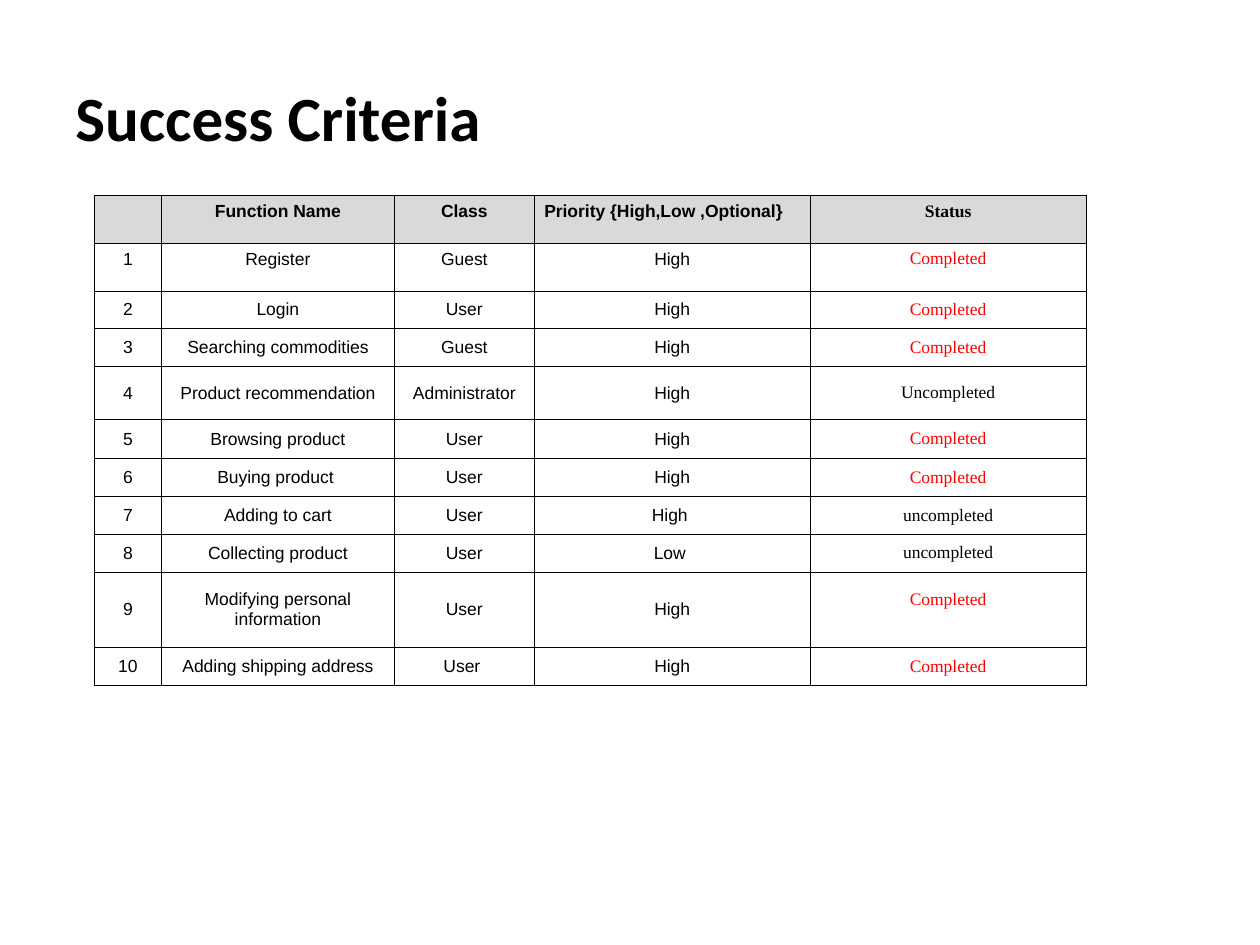
from lxml.etree import SubElement
from pptx import Presentation
from pptx.dml.color import RGBColor
from pptx.enum.text import MSO_ANCHOR as Anchor, PP_ALIGN as Align
from pptx.oxml.ns import qn
from pptx.util import Inches, Pt

BLACK = RGBColor(0x00, 0x00, 0x00)
RED = RGBColor(0xFF, 0x00, 0x00)
GREY = RGBColor(0xD9, 0xD9, 0xD9)

COLUMN_WIDTHS = [0.53, 1.85, 1.11, 2.19, 2.19]
ROW_HEIGHTS = [0.38, 0.38, 0.3, 0.3, 0.42, 0.31, 0.3, 0.3, 0.3, 0.6, 0.3]
HEADER = ["", "Function Name", "Class", "Priority {High,Low ,Optional}", "Status"]
CRITERIA = [
    ("Register", "Guest", "High", "Completed"),
    ("Login", "User", "High", "Completed"),
    ("Searching commodities", "Guest", "High", "Completed"),
    ("Product recommendation", "Administrator", "High", "Uncompleted"),
    ("Browsing product", "User", "High", "Completed"),
    ("Buying product ", "User", "High", "Completed"),
    ("Adding to cart", "User", "High ", "uncompleted"),
    ("Collecting product", "User", "Low ", "uncompleted"),
    ("Modifying personal information", "User", "High", "Completed"),
    ("Adding shipping address", "User ", "High", "Completed"),
]
STATUS_COLUMN = len(HEADER) - 1


def write_text(frame, text, size=10, font="Arial", color=BLACK, bold=False, align=Align.CENTER):
    """Write one formatted paragraph into a text frame."""
    para = frame.paragraphs[0]
    para.alignment = align
    if text:
        span = para.add_run()
        span.text = text
        target = span.font
    else:
        target = para.font
    target.size = Pt(size)
    target.name = font
    target.bold = bold
    target.color.rgb = color


def add_title(page, text):
    """Add the slide heading."""
    box = page.shapes.add_textbox(Inches(0.5), Inches(0.3), Inches(9), Inches(1.25))
    frame = box.text_frame
    frame.word_wrap = True
    frame.vertical_anchor = Anchor.MIDDLE
    write_text(frame, text, size=36, font="Calibri", bold=True, align=Align.LEFT)


def set_borders(cell):
    """Draw a thin black line on each side of a cell."""
    properties = cell._tc.get_or_add_tcPr()
    for index, side in enumerate(("lnL", "lnR", "lnT", "lnB")):
        line = properties.makeelement(qn(f"a:{side}"), {"w": str(Pt(0.45))})
        fill = SubElement(line, qn("a:solidFill"))
        SubElement(fill, qn("a:srgbClr"), val=str(BLACK))
        properties.insert(index, line)


def fill_cell(cell, text, row, column):
    """Format one table cell according to its row and column."""
    is_header = row == 0
    is_status = column == STATUS_COLUMN
    cell.margin_left = cell.margin_right = Inches(0.08)
    cell.margin_top = cell.margin_bottom = Inches(0.05)
    cell.vertical_anchor = Anchor.TOP if row < 2 else Anchor.MIDDLE
    if is_status and row == 9:
        cell.margin_bottom = Inches(0.21)
    if is_header:
        cell.fill.solid()
        cell.fill.fore_color.rgb = GREY
    else:
        cell.fill.background()
    set_borders(cell)
    write_text(
        cell.text_frame,
        text,
        font="Times New Roman" if is_status else "Arial",
        color=RED if text == "Completed" else BLACK,
        bold=is_header,
        align=Align.JUSTIFY if is_header and column == 3 else Align.CENTER,
    )


def add_criteria_table(page):
    """Add the table of numbered criteria."""
    rows = [HEADER] + [(str(number), *entry) for number, entry in enumerate(CRITERIA, 1)]
    table = page.shapes.add_table(
        len(rows), len(HEADER), Inches(0.75), Inches(1.55),
        Inches(sum(COLUMN_WIDTHS)), Inches(sum(ROW_HEIGHTS)),
    ).table
    table.horz_banding = False
    for column, width in zip(table.columns, COLUMN_WIDTHS):
        column.width = Inches(width)
    for row, height in zip(table.rows, ROW_HEIGHTS):
        row.height = Inches(height)
    for row, entry in enumerate(rows):
        for column, text in enumerate(entry):
            fill_cell(table.cell(row, column), text, row, column)


def main():
    """Build and save the slide."""
    deck = Presentation()
    deck.slide_width, deck.slide_height = Inches(10), Inches(7.5)
    page = deck.slides.add_slide(deck.slide_layouts[6])
    add_title(page, "Success Criteria")
    add_criteria_table(page)
    deck.save("out.pptx")


if __name__ == "__main__":
    main()
